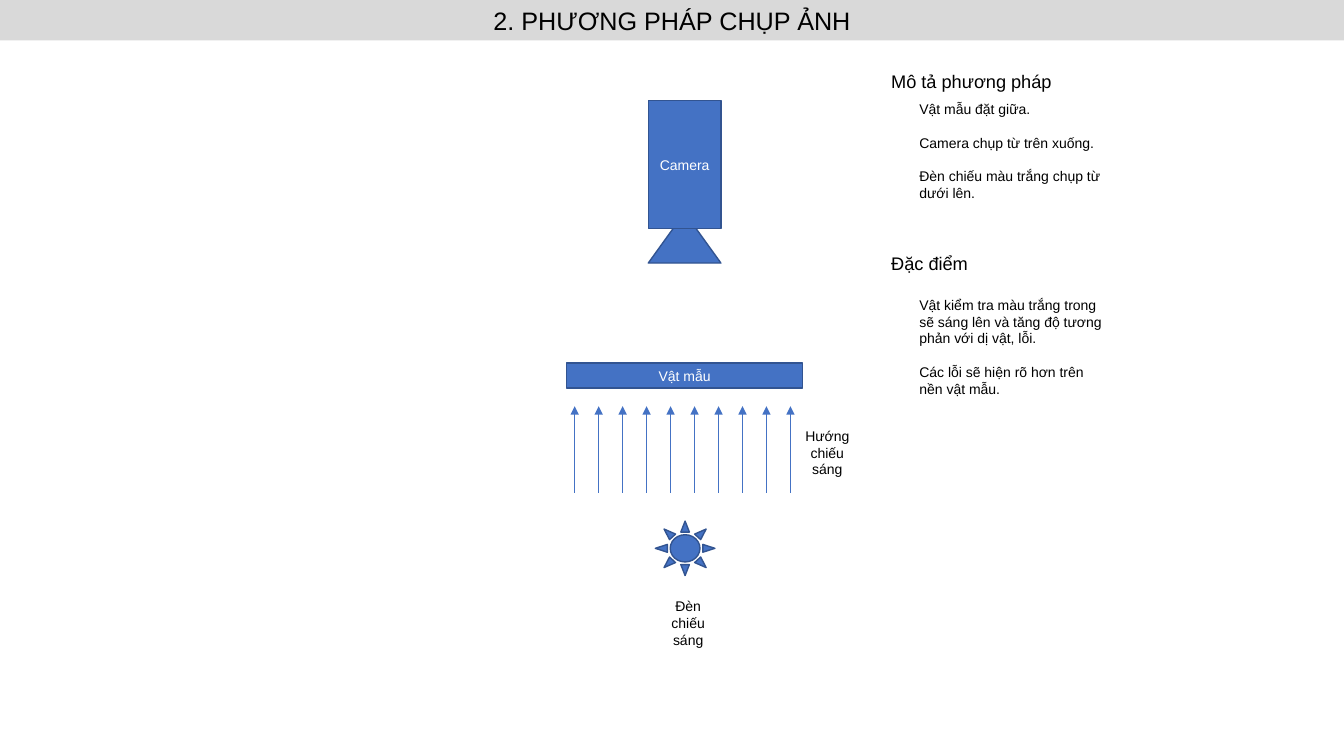
from lxml import etree
from pptx import Presentation
from pptx.dml.color import RGBColor
from pptx.enum import shapes, text
from pptx.oxml import ns
from pptx.util import Inches, Pt

BLACK = RGBColor(0x00, 0x00, 0x00)
WHITE = RGBColor(0xFF, 0xFF, 0xFF)
GREY = RGBColor(0xD9, 0xD9, 0xD9)
BLUE = RGBColor(0x44, 0x72, 0xC4)
DARK_BLUE = RGBColor(0x32, 0x54, 0x91)
KIND = shapes.MSO_SHAPE
LEFT, CENTER = text.PP_ALIGN.LEFT, text.PP_ALIGN.CENTER
TOP, MIDDLE = text.MSO_ANCHOR.TOP, text.MSO_ANCHOR.MIDDLE


def write(shape, lines, size, color=BLACK, align=LEFT, anchor=TOP):
    frame = shape.text_frame
    frame.word_wrap = True
    frame.auto_size = text.MSO_AUTO_SIZE.NONE
    frame.vertical_anchor = anchor
    for index, line in enumerate(lines):
        paragraph = frame.add_paragraph() if index else frame.paragraphs[0]
        paragraph.alignment = align
        paragraph.space_before = Pt(12 if index else 0)
        run = paragraph.add_run()
        run.text = line
        run.font.name = "Arial"
        run.font.size = Pt(size)
        run.font.color.rgb = color


def draw(parent, kind, left, top, width, height):
    shape = parent.add_shape(kind, Inches(left), Inches(top), Inches(width), Inches(height))
    shape.shadow.inherit = False
    shape.fill.solid()
    shape.fill.fore_color.rgb = BLUE
    shape.line.color.rgb = DARK_BLUE
    shape.line.width = Pt(1)
    return shape


deck = Presentation()
deck.slide_width, deck.slide_height = Inches(13.33), Inches(7.5)
slide = deck.slides.add_slide(deck.slide_layouts[5])

title = slide.shapes.title
title.left, title.top = Inches(0), Inches(0)
title.width, title.height = Inches(13.33), Inches(0.4)
title.fill.solid()
title.fill.fore_color.rgb = GREY
write(title, ["2. PHƯƠNG PHÁP CHỤP ẢNH"], 18, align=CENTER, anchor=MIDDLE)

camera = slide.shapes.add_group_shape()
draw(camera.shapes, KIND.ISOSCELES_TRIANGLE, 6.43, 2.11, 0.72, 0.5)
camera_body = draw(camera.shapes, KIND.RECTANGLE, 6.43, 1, 0.72, 1.27)
write(camera_body, ["Camera"], 10, WHITE, CENTER, MIDDLE)

draw(slide.shapes, KIND.SUN, 6.5, 5.17, 0.59, 0.54)
sample = draw(slide.shapes, KIND.RECTANGLE, 5.62, 3.6, 2.34, 0.25)
write(sample, ["Vật mẫu"], 10, WHITE, CENTER, MIDDLE)

RAYS = 10
for index in range(RAYS):
    x = Inches(5.7 + index * 2.14 / (RAYS - 1))
    ray = slide.shapes.add_connector(
        shapes.MSO_CONNECTOR.STRAIGHT, x, Inches(4.89), x, Inches(4.03))
    ray.line.color.rgb = BLUE
    ray.line.width = Pt(0.5)
    etree.SubElement(ray.line._get_or_add_ln(), ns.qn("a:tailEnd"), type="triangle")
    etree.SubElement(ray._element.spPr, ns.qn("a:effectLst"))

labels = [
    (7.88, 4.19, 0.65, 0.61, 10, CENTER, ["Hướng chiếu sáng"]),
    (6.5, 5.88, 0.65, 0.61, 10, CENTER, ["Đèn chiếu sáng"]),
    (8.74, 0.65, 2.09, 0.32, 13, LEFT, ["Mô tả phương pháp"]),
    (8.74, 2.45, 2.09, 0.32, 13, LEFT, ["Đặc điểm"]),
    (9.02, 0.95, 2.09, 1.11, 10, LEFT, [
        "Vật mẫu đặt giữa.",
        "Camera chụp từ trên xuống.",
        "Đèn chiếu màu trắng chụp từ dưới lên.",
    ]),
    (9.02, 2.89, 2.09, 1.11, 10, LEFT, [
        "Vật kiểm tra màu trắng trong sẽ sáng lên và tăng độ tương phản với dị vật, lỗi.",
        "Các lỗi sẽ hiện rõ hơn trên nền vật mẫu.",
    ]),
]
for left, top, width, height, size, align, lines in labels:
    label = slide.shapes.add_textbox(Inches(left), Inches(top), Inches(width), Inches(height))
    write(label, lines, size, align=align)

deck.save("out.pptx")
